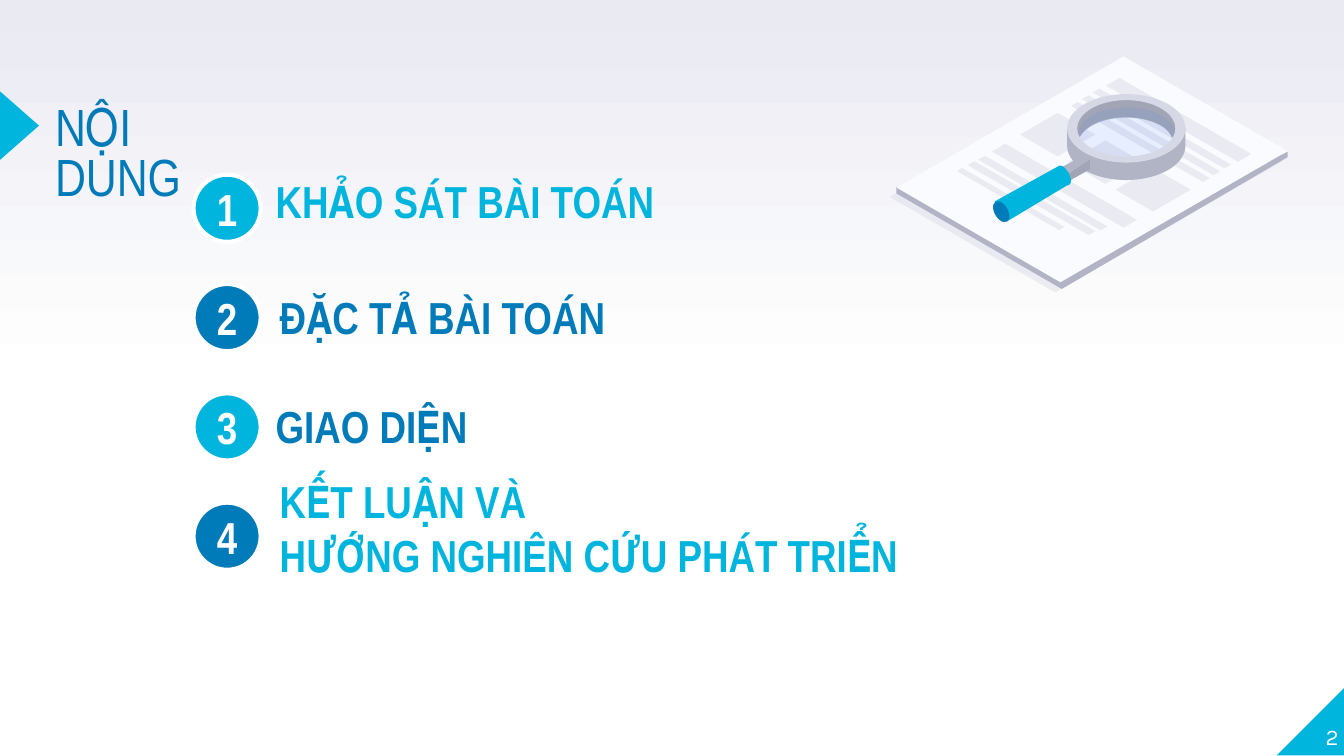
import math
from lxml import etree
from pptx import Presentation
from pptx.dml.color import RGBColor
from pptx.enum.shapes import MSO_SHAPE
from pptx.enum.text import MSO_ANCHOR, MSO_AUTO_SIZE, PP_ALIGN
from pptx.oxml.ns import qn
from pptx.util import Inches, Pt

OVAL = MSO_SHAPE.OVAL
TRIANGLE = MSO_SHAPE.ISOSCELES_TRIANGLE
RIGHT_TRIANGLE = MSO_SHAPE.RIGHT_TRIANGLE
LEFT, CENTER, RIGHT = PP_ALIGN.LEFT, PP_ALIGN.CENTER, PP_ALIGN.RIGHT
TOP, MIDDLE, BOTTOM = MSO_ANCHOR.TOP, MSO_ANCHOR.MIDDLE, MSO_ANCHOR.BOTTOM
NO_FIT = MSO_AUTO_SIZE.NONE

COLORS = {
    "cyan": "00B5DD", "blue": "007BB9", "white": "FFFFFF", "black": "000000",
    "mist": "E9EAF2", "paper": "FAFBFF", "silver": "D6D8E5",
    "steel": "B1B4C4", "slate": "A1A5B5", "glass": "3E7EFF",
}
ISO = math.tan(math.radians(30))  # slope of the isometric edges


def rgb(name):
    return RGBColor.from_string(COLORS[name])


def paint(sp, color, alpha=None, outline=None):
    sp.shadow.inherit = False
    sp.fill.solid()
    sp.fill.fore_color.rgb = rgb(color)
    if alpha is not None:
        clr = sp._element.spPr.find(".//" + qn("a:srgbClr"))
        etree.SubElement(clr, qn("a:alpha"), val=str(alpha * 1000))
    if outline:
        sp.line.color.rgb = rgb(outline)
        sp.line.width = Pt(2.25)
    else:
        sp.line.fill.background()


def add_preset(shapes, kind, box, color, rotation=0, **style):
    sp = shapes.add_shape(kind, *map(Inches, box))
    sp.rotation = rotation
    paint(sp, color, **style)
    return sp


def cubic(p0, c, steps=10):
    """Points along a cubic curve from p0; c holds two controls and the end."""
    pts = [p0, c[:2], c[2:4], c[4:]]
    for i in range(1, steps + 1):
        t = i / steps
        w = ((1 - t) ** 3, 3 * t * (1 - t) ** 2, 3 * t * t * (1 - t), t ** 3)
        yield tuple(sum(k * p[axis] for k, p in zip(w, pts)) for axis in (0, 1))


def add_outline(shapes, contours, color, **style):
    """Closed contours; a 6-number item is a cubic curve, a pair is a corner."""
    fb = None
    for contour in contours:
        pts = []
        for item in contour:
            pts.extend(cubic(pts[-1], item) if len(item) == 6 else [item])
        emu = [(Inches(x), Inches(y)) for x, y in pts]
        if fb is None:
            fb = shapes.build_freeform(*emu[0], scale=1.0)
        else:
            fb.move_to(*emu[0])
        fb.add_line_segments(emu[1:], close=True)
    paint(fb.convert_to_shape(), color, **style)


def add_iso_quad(shapes, x, y, right, left, color, **style):
    """Isometric quad from its top corner and its two horizontal reaches."""
    corners = [(x + a - b, y + (a + b) * ISO)
               for a, b in ((0, 0), (right, 0), (right, left), (0, left))]
    add_outline(shapes, [corners], color, **style)


def ellipse_points(cx, cy, width, height, n=72):
    angles = [2 * math.pi * i / n for i in range(n)]
    return [(cx + width / 2 * math.cos(a), cy + height / 2 * math.sin(a)) for a in angles]


def add_ring(shapes, top, color):
    cy = top + 0.51 / 2
    add_outline(shapes, [ellipse_points(8.38, cy, 0.88, 0.51),
                         ellipse_points(8.38, cy, 0.73, 0.42)], color)


def write(sp, lines, size, color, font="Arial Narrow", bold=False, align=LEFT,
          anchor=MIDDLE, wrap=True, spacing=None):
    tf = sp.text_frame
    frame = {"margin_left": 0, "margin_right": 0, "margin_top": 0, "margin_bottom": 0,
             "word_wrap": wrap, "auto_size": NO_FIT, "vertical_anchor": anchor}
    for name, value in frame.items():
        setattr(tf, name, value)
    for i, line in enumerate(lines):
        p = tf.add_paragraph() if i else tf.paragraphs[0]
        p.alignment, p.line_spacing = align, spacing
        r = p.add_run()
        r.text = line
        for name, value in {"name": font, "size": Pt(size), "bold": bold}.items():
            setattr(r.font, name, value)
        r.font.color.rgb = rgb(color)


def add_text(s, box, lines, size, color, **style):
    write(s.shapes.add_textbox(*map(Inches, box)), lines, size, color, **style)


def set_background(s):
    fill = s.background.fill
    fill.gradient()
    fill.gradient_angle = 90
    for stop, (position, color) in zip(fill.gradient_stops, ((0.5, "white"), (1, "mist"))):
        stop.position = position
        stop.color.rgb = rgb(color)


def draw_document(g):
    # Sheet: shadow, edge, face
    add_iso_quad(g, 8.31, 0.49, 1.23, 1.69, "silver", alpha=40)
    add_outline(g, [[(9.54, 1.15), (8.36, 0.46), (6.71, 1.41), (6.67, 1.39), (6.67, 1.44),
                     (7.9, 2.15), (9.58, 1.17), (9.58, 1.13)]], "steel")
    add_iso_quad(g, 8.36, 0.42, 1.22, 1.69, "paper")
    # Text lines and squares
    for x, y, length, width in (
            (8.33, 0.58, 0.98, 0.1), (8.18, 0.66, 0.98, 0.05), (8.1, 0.71, 0.98, 0.05),
            (8.02, 0.76, 0.98, 0.05), (7.48, 1.07, 0.98, 0.1), (7.33, 1.16, 0.91, 0.05),
            (7.25, 1.2, 0.9, 0.05), (7.16, 1.25, 0.76, 0.04)):
        add_iso_quad(g, x, y, length, width, "mist")
    for i in range(3):
        add_iso_quad(g, 7.87 + 0.71 * i / 2, 0.84 + 0.41 * i / 2, 0.28, 0.28, "mist")


def draw_magnifier(g):
    # Rim and lens
    add_ring(g, 0.83, "steel")
    add_outline(g, [[(8.72, 1.02), (8.7, 0.98, 8.67, 0.95, 8.64, 0.93),
                     (8.49, 0.85, 8.26, 0.85, 8.12, 0.93),
                     (8.09, 0.95, 8.06, 0.98, 8.03, 1.02), (7.99, 0.95), (8.04, 0.83),
                     (8.21, 0.73), (8.53, 0.74), (8.75, 0.87),
                     (8.75, 0.87, 8.75, 0.91, 8.75, 0.95),
                     (8.75, 1, 8.75, 1.05, 8.72, 1.02)]], "slate")
    add_outline(g, [[(7.94, 1.08), (7.94, 0.95), (8.01, 1.06)]], "steel")
    add_outline(g, [[(8.82, 1.08), (8.82, 0.95), (8.76, 1.01)]], "steel")
    add_preset(g, OVAL, (8.02, 0.8, 0.73, 0.42), "glass", alpha=10)
    add_outline(g, [[(7.97, 1.1), (7.97, 1.1, 8.03, 1.33, 8.45, 1.31),
                     (8.74, 1.31, 8.78, 1.06, 8.77, 1.03),
                     (8.71, 1.11, 8.62, 1.16, 8.51, 1.17),
                     (8.34, 1.19, 8.21, 1.18, 8.13, 1.15),
                     (8.06, 1.12, 7.97, 1.03, 7.97, 1.03)]], "steel")
    add_ring(g, 0.7, "silver")
    # Neck and handle
    handle_end = (7.4, 1.49, 0.1, 0.17)
    add_preset(g, OVAL, handle_end, "black", 330, alpha=10)
    add_outline(g, [[(8.11, 1.19), (7.93, 1.3), (7.87, 1.26), (8.06, 1.16)]], "steel")
    add_outline(g, [[(8.11, 1.26), (7.93, 1.36), (7.93, 1.3), (8.11, 1.19)]], "slate")
    add_outline(g, [[(7.97, 1.34), (7.96, 1.3, 7.94, 1.26, 7.91, 1.24),
                     (7.89, 1.23, 7.88, 1.23, 7.87, 1.24), (7.4, 1.5), (7.49, 1.65),
                     (7.94, 1.38), (7.96, 1.38, 7.97, 1.36, 7.97, 1.34)]], "cyan")
    add_preset(g, OVAL, handle_end, "blue", 330)


def add_agenda(s):
    items = (
        (2.05, 1.3, 0.38, "cyan", ["KHẢO SÁT BÀI TOÁN"]),
        (2.08, 2.27, 0.17, "blue", ["ĐẶC TẢ BÀI TOÁN"]),
        (2.05, 3.08, 0.17, "blue", ["GIAO DIỆN"]),
        (2.08, 3.86, 0.13, "cyan", ["KẾT LUẬN VÀ", "HƯỚNG NGHIÊN CỨU PHÁT TRIỂN"]),
    )
    for i, (x, y, height, color, lines) in enumerate(items):
        badge = add_preset(s.shapes, OVAL, (1.44, 1.3 + 2.44 * i / 3, 0.5, 0.5),
                           ("cyan", "blue")[i % 2], outline="white")
        write(badge, [str(i + 1)], 24, "white", bold=True, align=CENTER)
        add_text(s, (x, y, 2.88, height), lines, 24, color, bold=True, wrap=False)


def main():
    prs = Presentation()
    prs.slide_width, prs.slide_height = Inches(10), Inches(10 * 9 / 16)
    s = prs.slides.add_slide(prs.slide_layouts[5])
    set_background(s)

    # Corner and title marker
    add_preset(s.shapes, RIGHT_TRIANGLE, (9.5, 5.11, 0.51, 0.51), "cyan", 270)
    add_preset(s.shapes, TRIANGLE, (-0.11, 0.79, 0.51, 0.29), "cyan", 90)

    # Title and page number
    title = s.shapes.title
    for name, value in zip(("left", "top", "width", "height"), (0.41, 0.79, 1.27, 0.42)):
        setattr(title, name, Inches(value))
    write(title, ["NỘI DUNG"], 28, "blue", anchor=TOP, spacing=0.8)
    add_text(s, (9.46, 5.07, 0.5, 0.51), ["2"], 12, "white", font="Karla",
             align=RIGHT, anchor=BOTTOM)

    # Illustration and agenda
    illustration = s.shapes.add_group_shape().shapes
    draw_document(illustration)
    draw_magnifier(illustration)
    add_agenda(s)
    prs.save("out.pptx")


if __name__ == "__main__":
    main()
